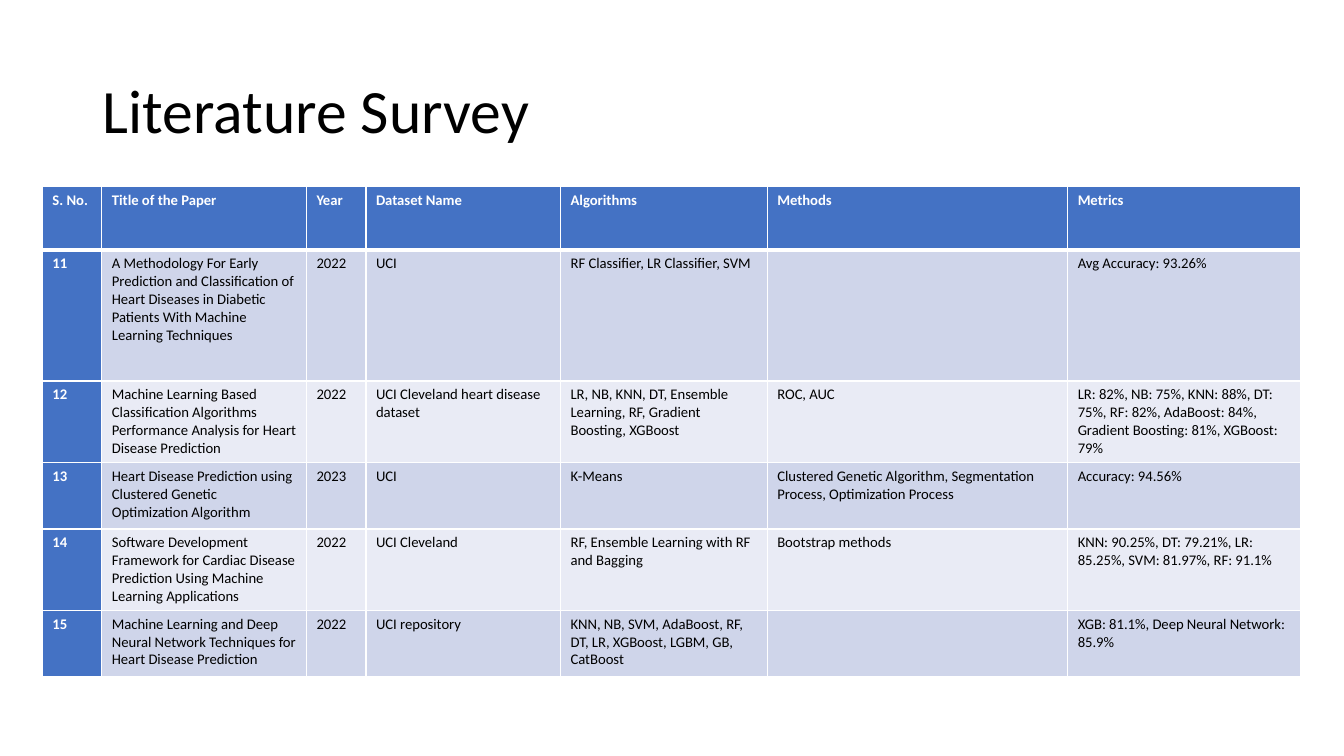
"""Build the literature survey slide with its table of papers."""
import dataclasses

import lxml.etree
import pptx
import pptx.dml.color
import pptx.enum.text
import pptx.oxml.ns
import pptx.util

PX = 9144
COLUMNS = [59, 203, 59, 193, 205, 298, 231]
ROWS = [63, 130, 66, 66, 66, 66]
HEADER = ["S. No.", "Title of the Paper", "Year", "Dataset Name",
          "Algorithms", "Methods", "Metrics"]
PAPERS = [
    ["11", "A Methodology For Early Prediction and Classification of Heart "
     "Diseases in Diabetic Patients With Machine Learning Techniques",
     "2022", "UCI", "RF Classifier, LR Classifier, SVM", "",
     "Avg Accuracy: 93.26%"],
    ["12", "Machine Learning Based Classification Algorithms Performance "
     "Analysis for Heart Disease Prediction",
     "2022", "UCI Cleveland heart disease dataset",
     "LR, NB, KNN, DT, Ensemble Learning, RF, Gradient Boosting, XGBoost",
     "ROC, AUC",
     "LR: 82%, NB: 75%, KNN: 88%, DT: 75%, RF: 82%, AdaBoost: 84%, "
     "Gradient Boosting: 81%, XGBoost: 79%"],
    ["13", "Heart Disease Prediction using Clustered Genetic Optimization "
     "Algorithm",
     "2023", "UCI", "K-Means",
     "Clustered Genetic Algorithm, Segmentation Process, Optimization Process",
     "Accuracy: 94.56%"],
    ["14", "Software Development Framework for Cardiac Disease Prediction "
     "Using Machine Learning Applications",
     "2022", "UCI Cleveland", "RF, Ensemble Learning with RF and Bagging",
     "Bootstrap methods",
     "KNN: 90.25%, DT: 79.21%, LR: 85.25%, SVM: 81.97%, RF: 91.1%"],
    ["15", "Machine Learning and Deep Neural Network Techniques for Heart "
     "Disease Prediction",
     "2022", "UCI repository",
     "KNN, NB, SVM, AdaBoost, RF, DT, LR, XGBoost, LGBM, GB, CatBoost", "",
     "XGB: 81.1%, Deep Neural Network: 85.9%"],
]


@dataclasses.dataclass(frozen=True)
class Theme:
    """Colours, font and type sizes of the slide."""
    font: str = "Calibri"
    title_size: float = 44
    cell_size: float = 10.5
    ink: str = "000000"
    white: str = "FFFFFF"
    accent: str = "4472C4"
    bands: tuple = ("CFD5EA", "E9EBF5")
    thin: float = 1
    thick: float = 3


THEME = Theme()


def px(*lengths):
    """Turn px lengths into EMU."""
    return [pptx.util.Emu(n * PX) for n in lengths]


def rgb(colour):
    """Turn a hex string into a colour."""
    return pptx.dml.color.RGBColor.from_string(colour)


def add_run(p, text, size, colour, bold=False):
    """Add one formatted run to a paragraph."""
    r = p.add_run()
    r.text = text
    r.font.name = THEME.font
    r.font.size = pptx.util.Pt(size)
    r.font.bold = bold
    r.font.color.rgb = rgb(colour)


def add_border(cell, side, width):
    """Draw a white line on one side of a cell."""
    qn = pptx.oxml.ns.qn
    tcPr = cell._tc.get_or_add_tcPr()
    ln = lxml.etree.SubElement(tcPr, qn(f"a:ln{side}"),
                               w=str(pptx.util.Pt(width)))
    fill = lxml.etree.SubElement(ln, qn("a:solidFill"))
    lxml.etree.SubElement(fill, qn("a:srgbClr"), val=THEME.white)


def set_title(s, text):
    """Place and fill the title placeholder."""
    title = s.shapes.title
    title.left, title.top, title.width, title.height = px(92, 40, 1150, 145)
    tf = title.text_frame
    tf.vertical_anchor = pptx.enum.text.MSO_ANCHOR.MIDDLE
    p = tf.paragraphs[0]
    p.alignment = pptx.enum.text.PP_ALIGN.LEFT
    p.line_spacing = 0.9
    add_run(p, text, THEME.title_size, THEME.ink)


def fill_cell(cell, text, row, column):
    """Style a cell by its place in the table and write its text."""
    strong = row == 0 or column == 0
    for side in "LRTB":
        under_header = (row, side) in ((0, "B"), (1, "T"))
        add_border(cell, side, THEME.thick if under_header else THEME.thin)
    cell.fill.solid()
    cell.fill.fore_color.rgb = rgb(
        THEME.accent if strong else THEME.bands[(row - 1) % 2])
    if text:
        add_run(cell.text_frame.paragraphs[0], text, THEME.cell_size,
                THEME.white if strong else THEME.ink, strong)


def add_survey_table(s, records):
    """Add the table of surveyed papers."""
    frame = s.shapes.add_table(len(ROWS), len(COLUMNS),
                               *px(42, 185, sum(COLUMNS), sum(ROWS)))
    table = frame.table
    table.first_col = True
    for column, width in zip(table.columns, px(*COLUMNS)):
        column.width = width
    for row, height in zip(table.rows, px(*ROWS)):
        row.height = height
    for i, record in enumerate(records):
        for j, text in enumerate(record):
            fill_cell(table.cell(i, j), text, i, j)


def main():
    """Build and save the slide."""
    prs = pptx.Presentation()
    prs.slide_width, prs.slide_height = px(1333, 750)
    s = prs.slides.add_slide(prs.slide_layouts[5])
    set_title(s, "Literature Survey")
    add_survey_table(s, [HEADER, *PAPERS])
    prs.save("out.pptx")


if __name__ == "__main__":
    main()
